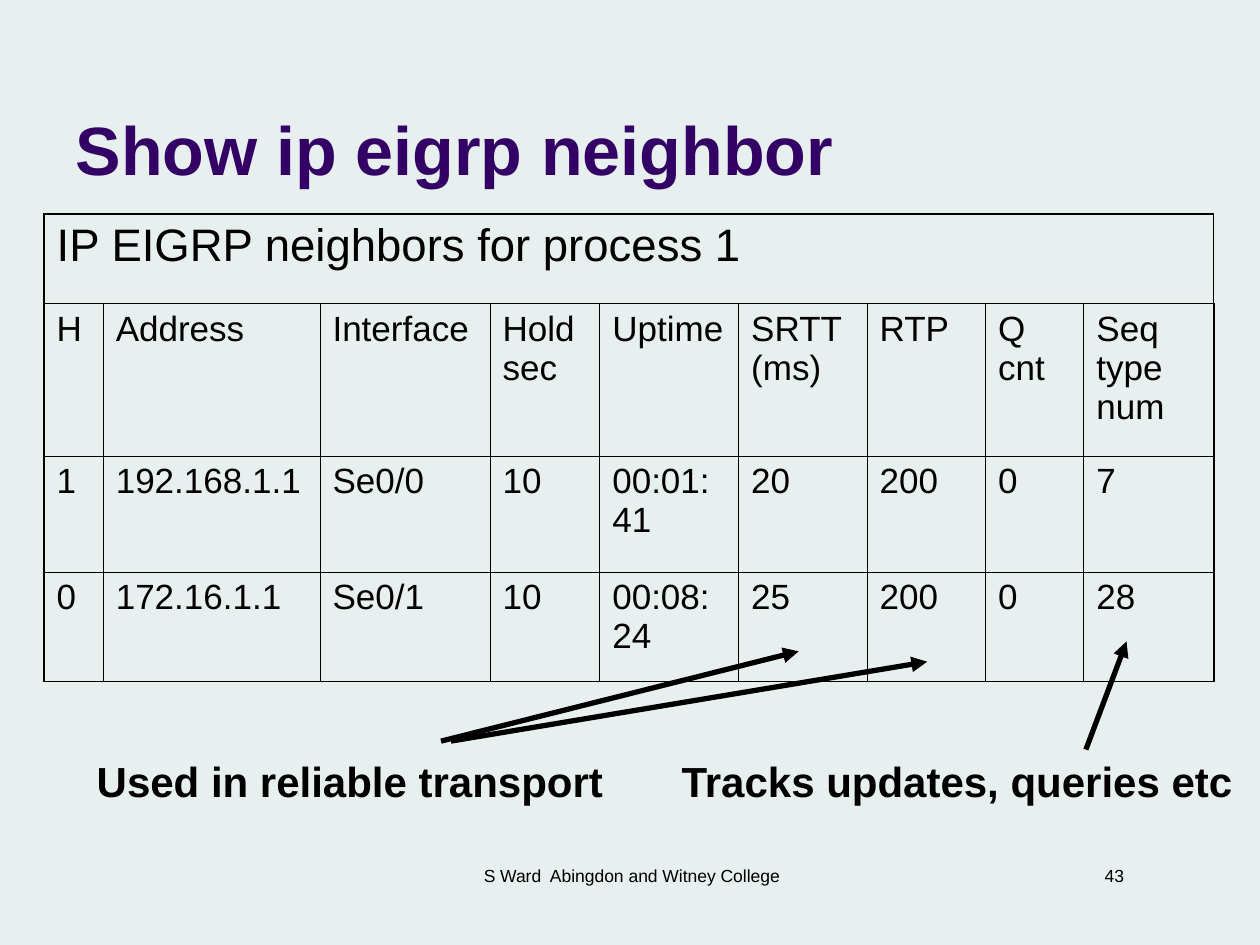
"""Build the slide that explains the EIGRP neighbor table."""
from lxml import etree
from pptx import Presentation
from pptx import util as u
from pptx.dml.color import RGBColor
from pptx.enum import shapes, text
from pptx.oxml.ns import qn

BACKGROUND = RGBColor(0xE7, 0xEF, 0xEF)
PURPLE = RGBColor(0x33, 0x00, 0x66)
BLACK = RGBColor(0x00, 0x00, 0x00)
FONT = "Arial"
OUTER_BORDER, INNER_BORDER = u.Pt(1.08), u.Pt(0.45)

COLUMN_WIDTHS = (1.19, 4.37, 3.43, 2.21, 2.8, 2.59, 2.39, 1.98, 2.62)
ROW_HEIGHTS = (1.8, 3.07, 2.34, 2.21)
CAPTION = "IP EIGRP neighbors for process 1"
NEIGHBORS = (
    ("H", "Address", "Interface", "Hold\nsec", "Uptime", "SRTT (ms)", "RTP", "Q cnt", "Seq type num"),
    ("1", "192.168.1.1", "Se0/0", "10", "00:01:41", "20", "200", "0", "7"),
    ("0", "172.16.1.1", "Se0/1", "10", "00:08:24", "25", "200", "0", "28"),
)


def write(frame, words, size, color=BLACK, bold=False, align=text.PP_ALIGN.LEFT):
    """Write words into the first paragraph, with a line break at each newline."""
    para = frame.paragraphs[0]
    para.alignment = align
    for number, line in enumerate(words.split("\n")):
        if number:
            para.add_line_break()
        span = para.add_run()
        span.text = line
        span.font.name = FONT
        span.font.size = u.Pt(size)
        span.font.bold = bold
        span.font.color.rgb = color


def add_title(page, words):
    """Place and fill the title placeholder."""
    box = page.shapes.title
    box.left, box.top, box.width, box.height = u.Cm(1.27), u.Cm(0.33), u.Cm(20.96), u.Cm(3.61)
    box.text_frame.auto_size = text.MSO_AUTO_SIZE.NONE
    box.text_frame.vertical_anchor = text.MSO_ANCHOR.BOTTOM
    write(box.text_frame, words, 39, PURPLE, True)


def add_label(page, words, left, top, width, height, size, **style):
    """Add a wrapping text box."""
    box = page.shapes.add_textbox(u.Cm(left), u.Cm(top), u.Cm(width), u.Cm(height))
    box.text_frame.word_wrap = True
    write(box.text_frame, words, size, **style)


def add_arrow(page, start, end):
    """Add a thick black arrow from start to end."""
    points = [u.Cm(value) for value in (*start, *end)]
    arrow = page.shapes.add_connector(shapes.MSO_CONNECTOR.STRAIGHT, *points)
    arrow.line.color.rgb = BLACK
    arrow.line.width = u.Pt(3)
    head = etree.SubElement(arrow.line._get_or_add_ln(), qn("a:tailEnd"))
    head.set("type", "triangle")
    etree.SubElement(arrow._element.spPr, qn("a:effectLst"))


def set_borders(cell, outer_sides):
    """Draw the four cell borders, heavier on the outer sides."""
    properties = cell._tc.get_or_add_tcPr()
    for side in "LRTB":
        width = OUTER_BORDER if side in outer_sides else INNER_BORDER
        border = etree.SubElement(properties, qn(f"a:ln{side}"), w=str(int(width)))
        fill = etree.SubElement(border, qn("a:solidFill"))
        etree.SubElement(fill, qn("a:srgbClr"), val=str(BLACK))


def add_neighbor_table(page):
    """Add the neighbor table under its merged caption row."""
    rows, columns = len(ROW_HEIGHTS), len(COLUMN_WIDTHS)
    table = page.shapes.add_table(
        rows, columns, u.Cm(0.89), u.Cm(4.32),
        u.Cm(sum(COLUMN_WIDTHS)), u.Cm(sum(ROW_HEIGHTS))).table
    table.first_row = table.horz_banding = False
    for column, width in zip(table.columns, COLUMN_WIDTHS):
        column.width = u.Cm(width)
    for row, height in zip(table.rows, ROW_HEIGHTS):
        row.height = u.Cm(height)
    for row in range(rows):
        for column in range(columns):
            cell = table.cell(row, column)
            edges = {"L": column == 0, "R": column == columns - 1,
                     "T": row == 0, "B": row == rows - 1}
            set_borders(cell, [side for side, outer in edges.items() if outer])
            cell.fill.background()
            if row:
                write(cell.text_frame, NEIGHBORS[row - 1][column], 20)
    table.cell(0, 0).merge(table.cell(0, columns - 1))
    write(table.cell(0, 0).text_frame, CAPTION, 26)


def main():
    """Build and save the deck."""
    deck = Presentation()
    deck.slide_width, deck.slide_height = u.Cm(25.4), u.Cm(19.05)
    page = deck.slides.add_slide(deck.slide_layouts[5])
    page.background.fill.solid()
    page.background.fill.fore_color.rgb = BACKGROUND

    add_label(page, "43", 17.7, 17.32, 5.21, 0.69, 10, align=text.PP_ALIGN.RIGHT)
    add_label(page, "S Ward  Abingdon and Witney College", 8.71, 17.32, 8.05, 1.27, 10,
              align=text.PP_ALIGN.CENTER)
    add_title(page, "Show ip eigrp neighbor")
    add_neighbor_table(page)
    add_label(page, "Used in reliable transport", 1.7, 15.11, 11, 1.27, 24, bold=True)
    add_arrow(page, (8.89, 14.94), (16.1, 13.13))
    add_label(page, "Tracks updates, queries etc", 13.49, 15.11, 11.91, 1.27, 24, bold=True)
    add_arrow(page, (21.89, 15.11), (22.71, 12.93))
    add_arrow(page, (9.09, 14.94), (18.69, 13.34))
    deck.save("out.pptx")


if __name__ == "__main__":
    main()
